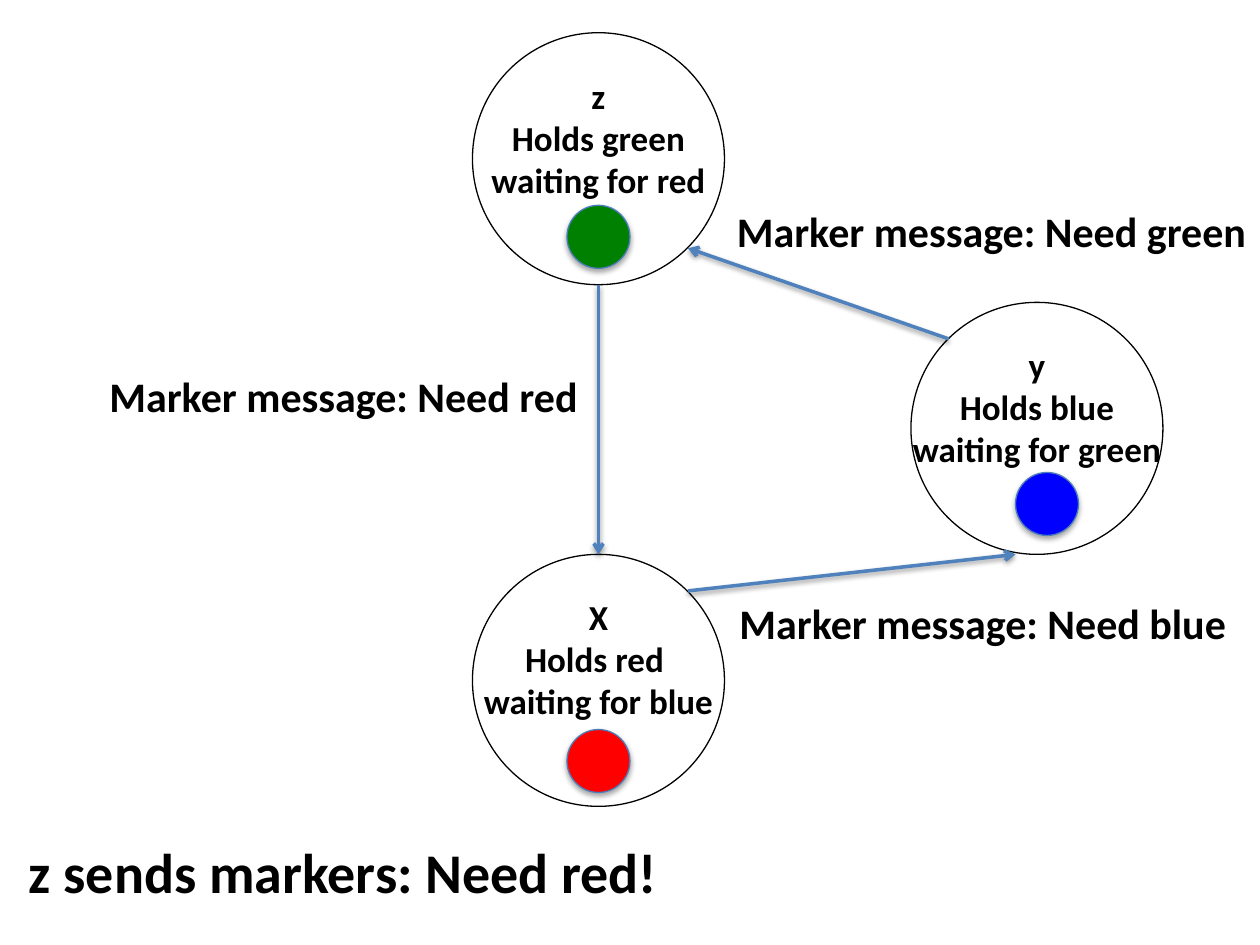
from lxml import etree
from pptx import Presentation
from pptx.dml.color import RGBColor
from pptx.enum import shapes, text
from pptx.oxml import parse_xml
from pptx.oxml.ns import nsdecls, qn
from pptx.util import Inches, Pt

BLACK = RGBColor(0, 0, 0)
WHITE = RGBColor(255, 255, 255)
RED = RGBColor(255, 0, 0)
GREEN = RGBColor(0, 128, 0)
BLUE = RGBColor(0, 0, 255)
ARROW = RGBColor(0x4F, 0x81, 0xBD)
TOKEN_EDGE = RGBColor(0x4B, 0x7E, 0xBC)


def add_shadow(shape, opacity, distance):
    shape._element.spPr.append(parse_xml(
        f'<a:effectLst {nsdecls("a")}><a:outerShdw blurRad="{Pt(3.1)}" '
        f'dist="{Pt(distance)}" dir="5400000" rotWithShape="0"><a:srgbClr val="000000">'
        f'<a:alpha val="{opacity * 1000}"/></a:srgbClr></a:outerShdw></a:effectLst>'))


def write(shape, lines, size, alignment):
    frame = shape.text_frame
    frame.word_wrap = False
    frame.text = "\n".join(lines)
    for para in frame.paragraphs:
        para.alignment = alignment
        para.font.name = "Calibri"
        para.font.size = Pt(size)
        para.font.bold = True
        para.font.color.rgb = BLACK
    return frame


deck = Presentation()
deck.slide_width, deck.slide_height = Inches(10), Inches(7.5)
page = deck.slides.add_slide(deck.slide_layouts[6])

processes = [
    (3.75, 4.4, ["X", "Holds red ", "waiting for blue"]),
    (7.23, 2.4, ["y", "Holds blue", "waiting for green"]),
    (3.75, 0.26, ["z", "Holds green", "waiting for red"]),
]
for left, top, lines in processes:
    process = page.shapes.add_shape(
        shapes.MSO_SHAPE.OVAL, Inches(left), Inches(top), Inches(2), Inches(2))
    process.shadow.inherit = False
    process.fill.background()
    process.line.color.rgb = BLACK
    process.line.width = Pt(0.75)
    frame = write(process, lines, 20, text.PP_ALIGN.CENTER)
    frame.vertical_anchor = text.MSO_ANCHOR.MIDDLE
    frame.margin_bottom = Inches(0.39)

for left, top, color in [(4.5, 5.79, RED), (8.06, 3.75, BLUE), (4.5, 1.63, GREEN)]:
    token = page.shapes.add_shape(
        shapes.MSO_SHAPE.OVAL, Inches(left), Inches(top), Inches(0.5), Inches(0.5))
    token.fill.solid()
    token.fill.fore_color.rgb = color
    token.line.color.rgb = TOKEN_EDGE
    token.line.width = Pt(0.75)
    add_shadow(token, 35, 1.8)

for ends in [(5.46, 4.69, 8.06, 4.4), (7.53, 2.69, 5.46, 1.97), (4.75, 2.26, 4.75, 4.4)]:
    arrow = page.shapes.add_connector(
        shapes.MSO_CONNECTOR.STRAIGHT, *[Inches(value) for value in ends])
    arrow.line.color.rgb = ARROW
    arrow.line.width = Pt(2)
    etree.SubElement(arrow.line._get_or_add_ln(), qn("a:tailEnd"), type="arrow")
    add_shadow(arrow, 38, 1.6)

labels = [
    (5.75, 1.58, 4.3, 0.5, 24, "Marker message: Need green"),
    (5.77, 4.69, 4.12, 0.5, 24, "Marker message: Need blue"),
    (0.77, 2.89, 3.97, 0.5, 24, "Marker message: Need red"),
    (0.13, 6.6, 5.26, 0.64, 32, "z sends markers: Need red!"),
]
for left, top, width, height, size, words in labels:
    box = page.shapes.add_textbox(
        Inches(left), Inches(top), Inches(width), Inches(height))
    frame = write(box, [words], size, text.PP_ALIGN.LEFT)
    frame.auto_size = text.MSO_AUTO_SIZE.SHAPE_TO_FIT_TEXT

box.fill.solid()
box.fill.fore_color.rgb = WHITE

deck.save("out.pptx")
